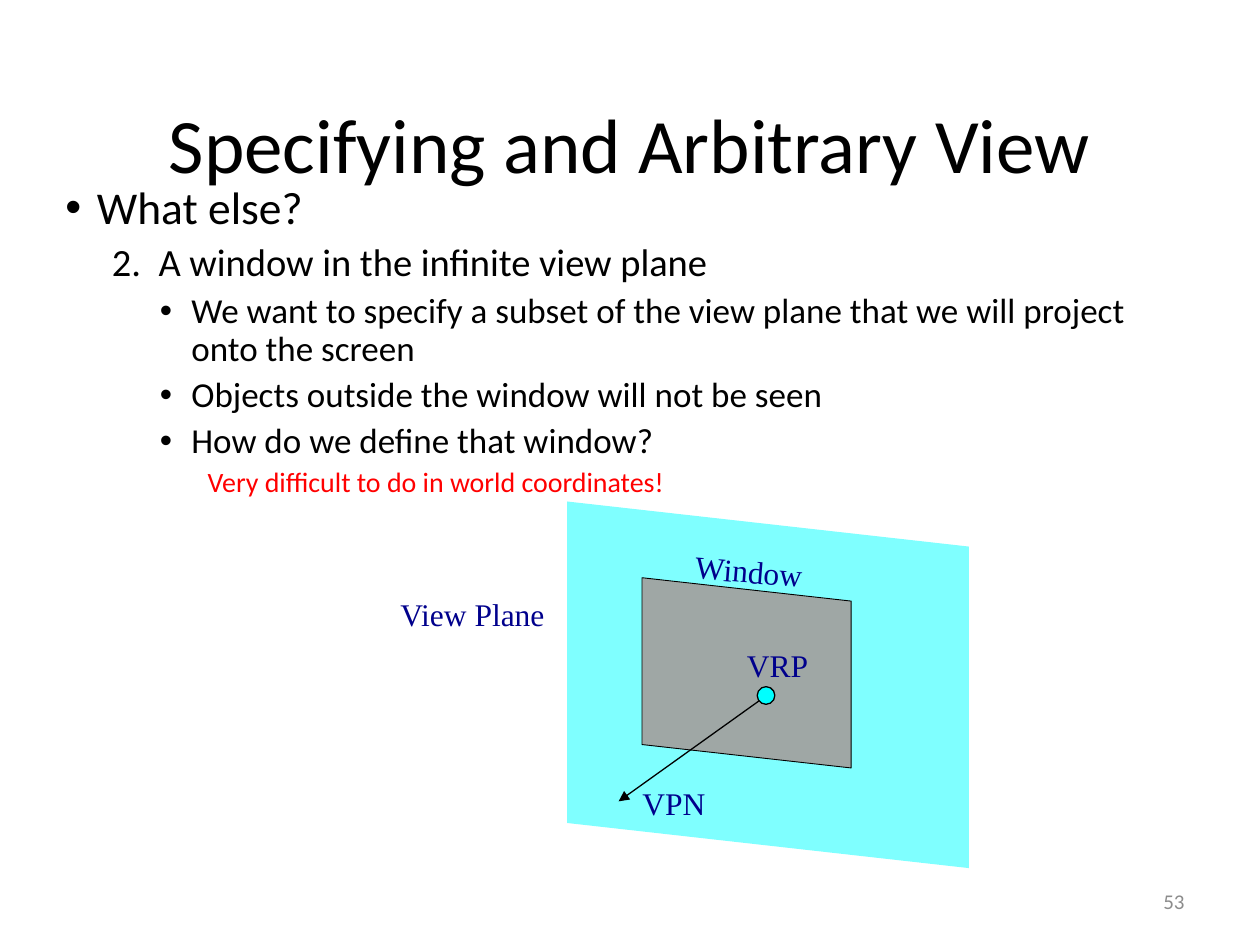
from lxml import etree
from pptx import Presentation
from pptx.dml.color import RGBColor
from pptx.enum.shapes import MSO_CONNECTOR, MSO_SHAPE
from pptx.enum.text import MSO_ANCHOR as Anchor, PP_ALIGN as Align
from pptx.oxml.ns import qn
from pptx.util import Inches, Pt

COLORS = {"text": "000000", "number": "8C8C8C", "warning": "FF0000",
          "label": "00008C", "cyan": "00FFFF", "window": "C0504D"}


class SlideBuilder:
    body_font = "Calibri"
    label_font = "Times New Roman"

    def __init__(self, slide):
        self.slide = slide
        self.shapes = slide.shapes

    def rgb(self, name):
        return RGBColor.from_string(COLORS[name])

    def frame(self, box, anchor=Anchor.TOP, wrap=True, angle=0):
        area = self.shapes.add_textbox(*map(Inches, box))
        area.rotation = angle
        area.text_frame.word_wrap = wrap
        area.text_frame.vertical_anchor = anchor
        return area.text_frame

    def run(self, paragraph, text, size, color, font):
        run = paragraph.add_run()
        run.text = text
        run.font.size = Pt(size)
        run.font.name = font
        run.font.color.rgb = self.rgb(color)

    def text(self, box, text, size, color="text", align=Align.LEFT,
             anchor=Anchor.MIDDLE):
        paragraph = self.frame(box, anchor).paragraphs[0]
        paragraph.alignment = align
        self.run(paragraph, text, size, color, self.body_font)

    def label(self, left, top, width, text, angle=0):
        frame = self.frame((left, top, width, 0.4), wrap=False, angle=angle)
        self.run(frame.paragraphs[0], text, 18, "label", self.label_font)

    def outline(self, box, items):
        frame = self.frame(box)
        for index, (text, size, margin, hanging, bullet, color) in enumerate(items):
            paragraph = frame.add_paragraph() if index else frame.paragraphs[0]
            props = paragraph._p.get_or_add_pPr()
            props.set("marL", str(Inches(margin)))
            props.set("indent", str(-Inches(hanging)))
            if bullet:
                etree.SubElement(props, qn("a:buFont")).set("typeface", "Arial")
                etree.SubElement(props, qn("a:buChar")).set("char", "•")
            else:
                etree.SubElement(props, qn("a:buNone"))
            paragraph.line_spacing = 0.9
            if index:
                paragraph.space_before = Pt(round(size * 0.24, 1))
            self.run(paragraph, text, size, color, self.body_font)

    def shape(self, preset, box, fill, line_width=0, alpha=100, angle=0):
        shape = self.shapes.add_shape(preset, *map(Inches, box))
        shape.shadow.inherit = False
        shape.rotation = angle
        shape.fill.solid()
        shape.fill.fore_color.rgb = self.rgb(fill)
        if alpha < 100:
            color = shape._element.spPr.find(f"{qn('a:solidFill')}/{qn('a:srgbClr')}")
            etree.SubElement(color, qn("a:alpha")).set("val", str(alpha * 1000))
        if line_width:
            shape.line.color.rgb = self.rgb("text")
            shape.line.width = Pt(line_width)
        else:
            shape.line.fill.background()
        return shape

    def tilted_plane(self, box, fill, line_width=0):
        plane = self.shape(MSO_SHAPE.PARALLELOGRAM, box, fill, line_width, 50, 90)
        plane.adjustments[0] = 0.123

    def arrow(self, start, end):
        arrow = self.shapes.add_connector(
            MSO_CONNECTOR.STRAIGHT, *map(Inches, start + end))
        arrow.line.color.rgb = self.rgb("text")
        arrow.line.width = Pt(0.75)
        etree.SubElement(arrow.line._get_or_add_ln(),
                         qn("a:tailEnd")).set("type", "triangle")
        etree.SubElement(arrow._element.spPr, qn("a:effectLst"))


def main():
    deck = Presentation()
    deck.slide_width, deck.slide_height = Inches(10), Inches(7.5)
    page = SlideBuilder(deck.slides.add_slide(deck.slide_layouts[6]))

    # Page number
    page.text((7.17, 6.95, 2.33, 0.4), "53", 12, "number", Align.RIGHT)

    # View plane and the window in it
    page.tilted_plane((4.64, 3.84, 2.91, 3.19), "cyan")
    page.tilted_plane((5.17, 4.51, 1.51, 1.66), "window", 0.5)

    # Title and outline
    page.text((0.5, 0.3, 9, 1.25), "Specifying and Arbitrary View", 44,
              align=Align.CENTER, anchor=Anchor.BOTTOM)
    # text, size, margin, hanging indent, bullet, color
    page.outline((0.42, 1.42, 9.08, 2.75), [
        ("What else?", 26, 0.25, 0.25, True, "text"),
        ("2.\tA window in the infinite view plane", 22, 0.74, 0.37, False, "text"),
        ("We want to specify a subset of the view plane that we will project "
         "onto the screen", 20, 1, 0.25, True, "text"),
        ("Objects outside the window will not be seen", 20, 1, 0.25, True, "text"),
        ("How do we define that window?", 20, 1, 0.25, True, "text"),
        ("Very difficult to do in world coordinates!", 16, 1.38, 0.25, False,
         "warning"),
    ])

    # Reference point with its normal
    page.arrow((6.07, 5.53), (4.91, 6.36))
    page.shape(MSO_SHAPE.OVAL, (6.01, 5.45, 0.14, 0.14), "cyan", 0.75)

    # Diagram labels
    page.label(3.08, 4.67, 1.36, "View Plane")
    page.label(5.42, 4.33, 1.06, "Window", angle=4.5)
    page.label(5, 6.17, 0.7, "VPN")
    page.label(5.83, 5.08, 0.69, "VRP")

    deck.save("out.pptx")


if __name__ == "__main__":
    main()
